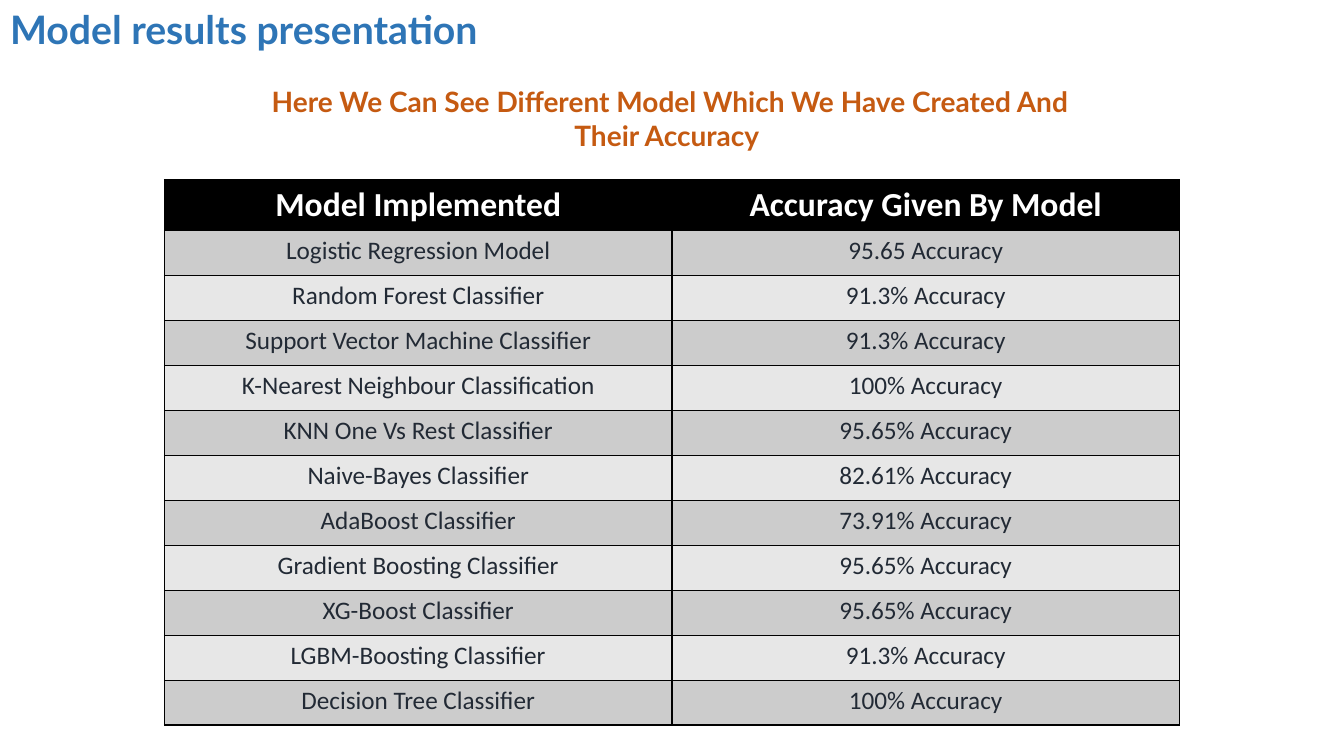
import pptx
import pptx.util
import pptx.dml.color
import pptx.enum.text
import pptx.oxml
import pptx.oxml.ns
from lxml import etree

Pt = pptx.util.Pt
ALIGN = pptx.enum.text.PP_ALIGN

COLORS = {
    "title": "2E75B6",
    "lead": "C55A11",
    "head": "000000",
    "white": "FFFFFF",
    "ink": "222A35",
    "dark": "CCCCCC",
    "light": "E7E7E7",
    "rule": "000000",
}

HEADER = ("Model Implemented", "Accuracy Given By Model")
MODELS = [
    ("Logistic Regression Model", "95.65 Accuracy"),
    ("Random Forest Classifier", "91.3% Accuracy"),
    ("Support Vector Machine Classifier", "91.3% Accuracy"),
    ("K-Nearest Neighbour Classification", "100% Accuracy"),
    ("KNN One Vs Rest Classifier", "95.65% Accuracy"),
    ("Naive-Bayes Classifier", "82.61% Accuracy"),
    ("AdaBoost Classifier", "73.91% Accuracy"),
    ("Gradient Boosting Classifier", "95.65% Accuracy"),
    ("XG-Boost Classifier", "95.65% Accuracy"),
    ("LGBM-Boosting Classifier", "91.3% Accuracy"),
    ("Decision Tree Classifier", "100% Accuracy"),
]


def rgb(name):
    return pptx.dml.color.RGBColor.from_string(COLORS[name])


def write(frame, text, face, size, color, bold, align):
    frame.text = text
    para = frame.paragraphs[0]
    para.alignment = align
    font = para.font
    font.name = face
    font.size = Pt(size)
    font.bold = bold
    font.color.rgb = rgb(color)


def place(shape, left, top, width, height):
    shape.left, shape.top = Pt(left), Pt(top)
    shape.width, shape.height = Pt(width), Pt(height)
    frame = shape.text_frame
    frame.word_wrap = True
    frame.auto_size = pptx.enum.text.MSO_AUTO_SIZE.NONE
    frame.vertical_anchor = pptx.enum.text.MSO_ANCHOR.TOP


def add_title(slide):
    title = slide.shapes.title
    place(title, 0, 0, 611, 41)
    write(title.text_frame, "Model results presentation",
          "Lato", 28, "title", True, ALIGN.LEFT)


def add_lead(slide):
    box = slide.shapes.add_textbox(0, 0, 0, 0)
    place(box, 162, 57, 633, 56)
    write(box.text_frame,
          "Here We Can See Different Model Which We Have Created And "
          "Their Accuracy ", "Lato", 20, "lead", True, ALIGN.CENTER)


def set_edges(cell):
    """Draw a thin rule on all four sides; call before the fill is set."""
    props = cell._tc.get_or_add_tcPr()
    for side in ("lnL", "lnR", "lnT", "lnB"):
        line = etree.SubElement(props, pptx.oxml.ns.qn("a:" + side),
                                w=str(Pt(1)))
        fill = etree.SubElement(line, pptx.oxml.ns.qn("a:solidFill"))
        etree.SubElement(fill, pptx.oxml.ns.qn("a:srgbClr"),
                         val=COLORS["rule"])


def fill_row(table, row, texts, back, size, color, bold):
    for col, text in enumerate(texts):
        cell = table.cell(row, col)
        write(cell.text_frame, text, "Calibri", size, color, bold,
              ALIGN.CENTER)
        set_edges(cell)
        cell.fill.solid()
        cell.fill.fore_color.rgb = rgb(back)


def add_results(slide):
    head, step = 35.7, 32.1
    frame = slide.shapes.add_table(
        len(MODELS) + 1, len(HEADER), Pt(117.5), Pt(128.4),
        Pt(725), Pt(head + step * len(MODELS)))
    table = frame.table
    for col in table.columns:
        col.width = Pt(362.5)
    for row in table.rows:
        row.height = Pt(step)
    table.rows[0].height = Pt(head)
    fill_row(table, 0, HEADER, "head", 24, "white", True)
    for row, texts in enumerate(MODELS, 1):
        back = "dark" if row % 2 else "light"
        fill_row(table, row, texts, back, 18, "ink", False)


def main():
    deck = pptx.Presentation()
    deck.slide_width, deck.slide_height = Pt(960), Pt(540)
    slide = deck.slides.add_slide(deck.slide_layouts.get_by_name("Title Only"))
    add_title(slide)
    add_lead(slide)
    add_results(slide)
    deck.save("out.pptx")


if __name__ == "__main__":
    main()
